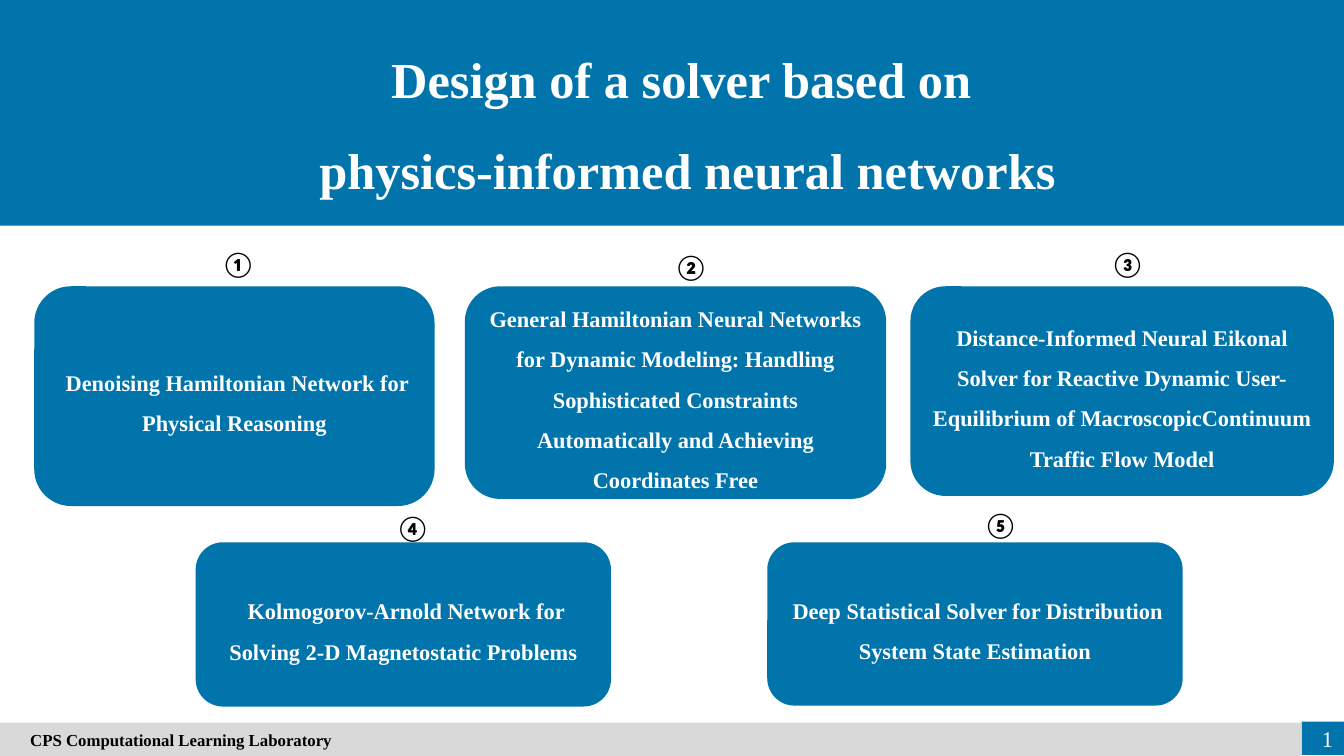
import pptx
import pptx.util
import pptx.dml.color
import pptx.enum.shapes
import pptx.enum.text

Inches = pptx.util.Inches
Pt = pptx.util.Pt
RGBColor = pptx.dml.color.RGBColor
SHAPE = pptx.enum.shapes.MSO_SHAPE
ALIGN = pptx.enum.text.PP_ALIGN
ANCHOR = pptx.enum.text.MSO_ANCHOR

BLUE = RGBColor(0x01, 0x74, 0xAB)
GREY = RGBColor(0xD9, 0xD9, 0xD9)
WHITE = RGBColor(0xFF, 0xFF, 0xFF)
BLACK = RGBColor(0x00, 0x00, 0x00)
SERIF = "Times New Roman"

TOPICS = [
    ((0.34, 2.84, 3.97, 2.18), "①", (2.1, 2.41),
     " Denoising Hamiltonian Network for Physical Reasoning"),
    ((4.61, 2.84, 4.18, 2.11), "②", (6.59, 2.44),
     "General Hamiltonian Neural Networks for Dynamic Modeling: Handling "
     "Sophisticated Constraints Automatically and Achieving Coordinates Free"),
    ((9.03, 2.84, 4.2, 2.08), "③", (10.92, 2.41),
     "Distance-Informed Neural Eikonal Solver for Reactive Dynamic "
     "User-Equilibrium of MacroscopicContinuum Traffic Flow Model"),
    ((1.94, 5.38, 4.12, 1.63), "④", (3.83, 5.03),
     " Kolmogorov-Arnold Network for Solving 2-D Magnetostatic Problems"),
    ((7.61, 5.38, 4.12, 1.62), "⑤", (9.66, 5),
     " Deep Statistical Solver for Distribution\nSystem State Estimation"),
]


def set_text(sp, text, size, color, bold=True, font=SERIF, align=ALIGN.LEFT,
             spacing=1.0, anchor=ANCHOR.MIDDLE, wrap=True):
    tf = sp.text_frame
    tf.text = text
    tf.word_wrap = wrap
    tf.vertical_anchor = anchor
    for p in tf.paragraphs:
        p.alignment = align
        p.line_spacing = spacing
        for r in p.runs:
            r.font.name = font
            r.font.size = Pt(size)
            r.font.bold = bold
            r.font.color.rgb = color


def add_block(s, kind, box, fill):
    sp = s.shapes.add_shape(kind, *map(Inches, box))
    sp.shadow.inherit = False
    sp.fill.solid()
    sp.fill.fore_color.rgb = fill
    sp.line.fill.background()
    return sp


def add_label(s, box, text, size, color, **style):
    sp = s.shapes.add_textbox(*map(Inches, box))
    set_text(sp, text, size, color, **style)


def add_topic(s, box, number, corner, text):
    sp = add_block(s, SHAPE.ROUNDED_RECTANGLE, box, BLUE)
    set_text(sp, text, 16, WHITE, align=ALIGN.CENTER, spacing=1.5)
    add_label(s, (*corner, 0.45, 0.4), number, 18, BLACK, font="Calibri",
              anchor=ANCHOR.TOP, wrap=False)


def add_title(s):
    add_block(s, SHAPE.RECTANGLE, (0, 0, 13.33, 2.24), BLUE)
    add_label(s, (2.81, 0.13, 8.02, 1.92),
              "Design of a solver based on \nphysics-informed neural networks",
              36, WHITE, align=ALIGN.CENTER, spacing=1.5, anchor=ANCHOR.TOP)


def add_footer(s):
    add_block(s, SHAPE.RECTANGLE, (12.91, 7.16, 0.42, 0.33), BLUE)
    bar = add_block(s, SHAPE.RECTANGLE, (0, 7.17, 12.91, 0.33), GREY)
    set_text(bar, "CPS Computational Learning Laboratory", 12, BLACK)
    bar.text_frame.margin_left = Inches(0.3)
    add_label(s, (12.69, 7.13, 0.63, 0.4), "1", 16, WHITE, bold=False,
              align=ALIGN.RIGHT)


def main():
    prs = pptx.Presentation()
    prs.slide_width = Inches(13.33)
    prs.slide_height = Inches(7.5)
    s = prs.slides.add_slide(prs.slide_layouts[6])
    add_title(s)
    for topic in TOPICS:
        add_topic(s, *topic)
    add_footer(s)
    prs.save("out.pptx")


if __name__ == "__main__":
    main()
